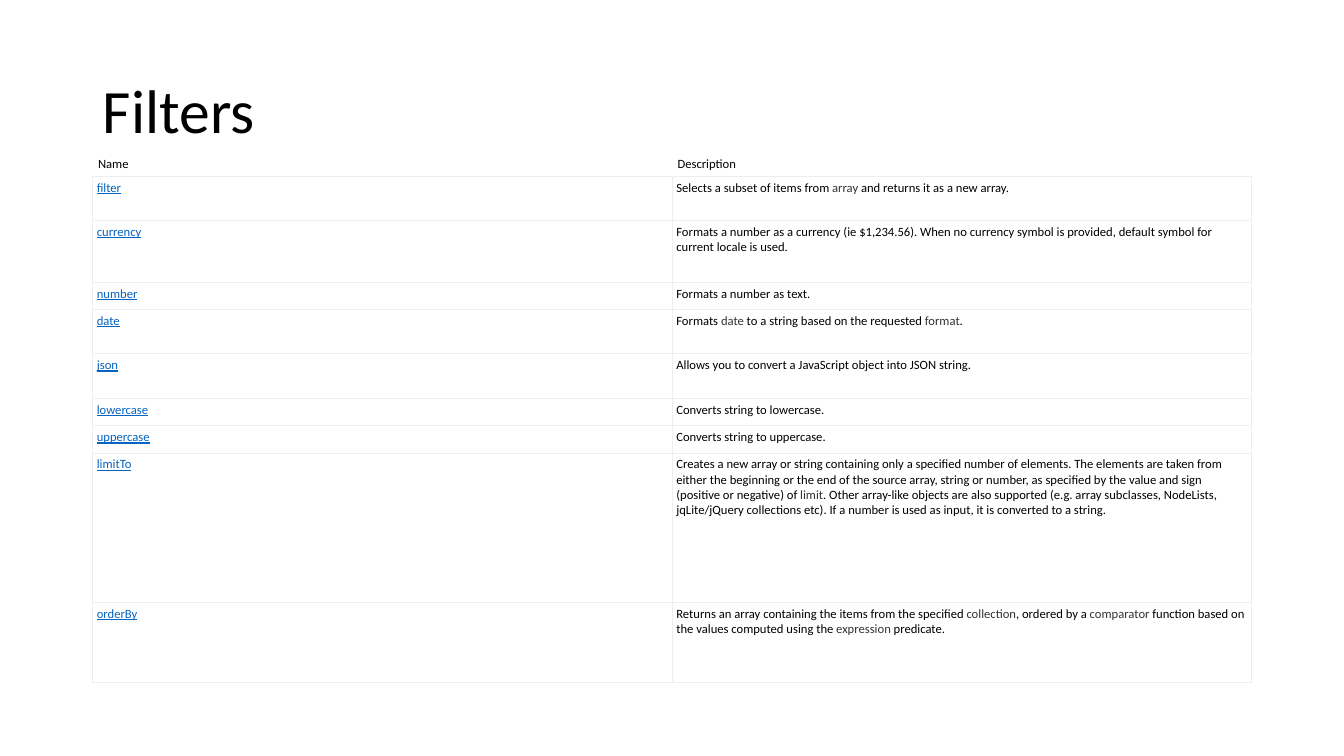
from lxml.etree import SubElement
from pptx import Presentation
from pptx.dml.color import RGBColor
from pptx.enum.text import MSO_ANCHOR, PP_ALIGN
from pptx.oxml.ns import qn
from pptx.util import Cm, Pt

TITLE = "Filters"
HEADER = ("Name", "Description")
HEADER_HEIGHT = 0.58
# Name, description with code terms between backticks, row height in cm
FILTERS = [
    ("filter", "Selects a subset of items from `array` and returns it as a new array.", 1.12),
    ("currency", "Formats a number as a currency (ie $1,234.56). When no currency symbol "
     "is provided, default symbol for current locale is used.", 1.55),
    ("number", "Formats a number as text.", 0.69),
    ("date", "Formats `date` to a string based on the requested `format`.", 1.12),
    ("json", "Allows you to convert a JavaScript object into JSON string.", 1.12),
    ("lowercase", "Converts string to lowercase.", 0.69),
    ("uppercase", "Converts string to uppercase.", 0.69),
    ("limitTo", "Creates a new array or string containing only a specified number of "
     "elements. The elements are taken from either the beginning or the end of the source "
     "array, string or number, as specified by the value and sign (positive or negative) of "
     "`limit`. Other array-like objects are also supported (e.g. array subclasses, NodeLists, "
     "jqLite/jQuery collections etc). If a number is used as input, it is converted to a "
     "string.", 3.76),
    ("orderBy", "Returns an array containing the items from the specified `collection`, "
     "ordered by a `comparator` function based on the values computed using the "
     "`expression` predicate.", 2.01),
]

FONT = "Calibri"
BLACK, WHITE, CODE, LINK, BORDER = "000000", "FFFFFF", "333333", "0563C1", "EEEEEE"
LEFT, WIDTH = 2.34, 29.21
TABLE_TOP = 3.86


def rgb(value):
    return RGBColor.from_string(value)


def style_run(run, size, color, underline=False):
    run.font.name = FONT
    run.font.size = Pt(size)
    run.font.bold = False
    run.font.underline = underline
    run.font.color.rgb = rgb(color)


def set_borders(cell, drawn_sides):
    """Draw the given sides (letters from LRTB) and clear the others."""
    properties = cell._tc.get_or_add_tcPr()
    for side in "LRTB":
        line = SubElement(properties, qn(f"a:ln{side}"), w=str(Pt(0.75)))
        if side in drawn_sides:
            fill = SubElement(line, qn("a:solidFill"))
            SubElement(fill, qn("a:srgbClr"), val=BORDER)
        else:
            SubElement(line, qn("a:noFill"))


def fill_cell(cell, text, color=BLACK, underline=False, header=False):
    set_borders(cell, "B" if header else "LRTB")
    cell.fill.solid()
    cell.fill.fore_color.rgb = rgb(WHITE)
    cell.vertical_anchor = MSO_ANCHOR.MIDDLE if header else MSO_ANCHOR.TOP
    cell.margin_left = cell.margin_right = Cm(0.13 if header else 0.1)
    cell.margin_top = cell.margin_bottom = Cm(0.08 if header else 0.1)
    paragraph = cell.text_frame.paragraphs[0]
    for index, part in enumerate(text.split("`")):
        run = paragraph.add_run()
        run.text = part
        style_run(run, 9, CODE if index % 2 else color, underline)


def add_title(slide):
    title = slide.shapes.title
    title.left, title.top, title.width, title.height = Cm(LEFT), Cm(1.01), Cm(WIDTH), Cm(3.68)
    title.text_frame.text = TITLE
    title.text_frame.vertical_anchor = MSO_ANCHOR.MIDDLE
    paragraph = title.text_frame.paragraphs[0]
    paragraph.alignment = PP_ALIGN.LEFT
    paragraph.line_spacing = 0.9
    style_run(paragraph.runs[0], 44, BLACK)


def add_filter_table(slide):
    heights = [HEADER_HEIGHT] + [height for _, _, height in FILTERS]
    table = slide.shapes.add_table(len(heights), len(HEADER), Cm(LEFT), Cm(TABLE_TOP),
                                   Cm(WIDTH), Cm(sum(heights))).table
    table.first_row = table.horz_banding = False
    for row, height in zip(table.rows, heights):
        row.height = Cm(height)
    for column, heading in enumerate(HEADER):
        fill_cell(table.cell(0, column), heading, header=True)
    for row, (name, description, _) in enumerate(FILTERS, start=1):
        fill_cell(table.cell(row, 0), name, LINK, underline=True)
        fill_cell(table.cell(row, 1), description)


def main():
    presentation = Presentation()
    presentation.slide_width, presentation.slide_height = Cm(33.87), Cm(19.05)
    slide = presentation.slides.add_slide(presentation.slide_layouts[5])
    add_title(slide)
    add_filter_table(slide)
    presentation.save("out.pptx")


if __name__ == "__main__":
    main()
